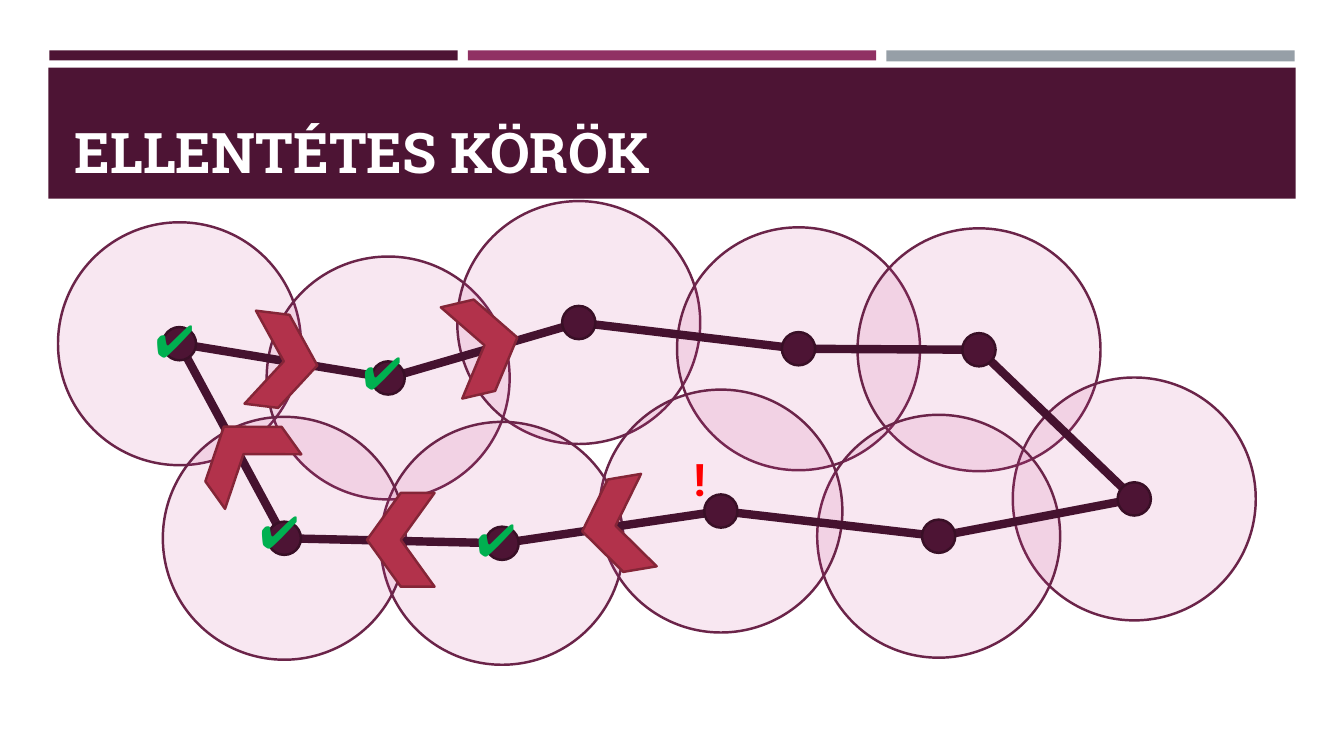
"""Build the slide on opposing circles: a loop of nodes with ranges, arrows and marks."""
from itertools import pairwise
from typing import NamedTuple

from lxml.etree import SubElement
from pptx import Presentation
from pptx.dml.color import RGBColor
from pptx.enum.shapes import MSO_CONNECTOR as Link, MSO_SHAPE as Preset
from pptx.enum.text import MSO_ANCHOR as Anchor, MSO_AUTO_SIZE as AutoSize, PP_ALIGN as Align
from pptx.oxml.ns import qn
from pptx.shapes.autoshape import Shape
from pptx.slide import Slide
from pptx.util import Inches, Pt

PLUM = RGBColor(0x4D, 0x14, 0x34)
MAGENTA = RGBColor(0x90, 0x31, 0x63)
GREY = RGBColor(0x96, 0x9F, 0xA7)
WHITE = RGBColor(0xFF, 0xFF, 0xFF)
RANGE_FILL = RGBColor(0xCA, 0x3E, 0x8E)
RANGE_EDGE = RGBColor(0x6B, 0x24, 0x49)
EDGE = RGBColor(0x45, 0x12, 0x2F)
NODE_EDGE = RGBColor(0x39, 0x0F, 0x26)
ARROW_FILL = RGBColor(0xB2, 0x32, 0x4B)
ARROW_EDGE = RGBColor(0x84, 0x25, 0x37)
GREEN = RGBColor(0x00, 0xB0, 0x50)
RED = RGBColor(0xFF, 0x00, 0x00)

RANGE_SIZE = 2.41
NODE_SIZE = 0.33


class Point(NamedTuple):
    x: float
    y: float


class Bar(NamedTuple):
    left: float
    top: float
    width: float
    height: float
    color: RGBColor


class Arrow(NamedTuple):
    left: float
    top: float
    angle: float


class Mark(NamedTuple):
    left: float
    top: float
    width: float
    text: str
    font: str
    color: RGBColor
    bold: bool


BARS = [
    Bar(0.49, 0.5, 4.05, 0.1, PLUM),
    Bar(4.64, 0.5, 4.05, 0.1, MAGENTA),
    Bar(8.79, 0.5, 4.05, 0.11, GREY),
    Bar(0.48, 0.67, 12.37, 1.3, PLUM),
]
NODES = [
    Point(1.78, 3.41), Point(3.85, 3.75), Point(5.74, 3.2), Point(7.92, 3.46), Point(9.71, 3.47),
    Point(11.25, 4.95), Point(9.31, 5.32), Point(7.15, 5.07), Point(4.98, 5.39), Point(2.82, 5.34),
]
ARROWS = [
    Arrow(5.77, 4.75, 170.4),
    Arrow(3.64, 4.89, 180),
    Arrow(2.08, 4.04, 234.4),
    Arrow(2.48, 3.12, 7),
    Arrow(4.47, 2.96, 346.8),
]
CHECKS = [Point(3.5, 3.37), Point(1.44, 3.05), Point(2.48, 4.95), Point(4.63, 5.03)]
MARKS = [Mark(x, y, 0.82, "✔️", "Calibri", GREEN, False) for x, y in CHECKS]
MARKS.append(Mark(6.78, 4.43, 0.32, "!", "Roboto", RED, True))


def add_preset(page: Slide, preset: Preset, left: float, top: float, width: float,
               height: float, fill: RGBColor, edge: RGBColor | None = None) -> Shape:
    shape = page.shapes.add_shape(preset, Inches(left), Inches(top), Inches(width), Inches(height))
    shape.shadow.inherit = False
    shape.fill.solid()
    shape.fill.fore_color.rgb = fill
    if edge is None:
        shape.line.fill.background()
    else:
        shape.line.color.rgb = edge
        shape.line.width = Pt(1.75)
    return shape


def add_disc(page: Slide, center: Point, size: float, fill: RGBColor, edge: RGBColor) -> Shape:
    return add_preset(page, Preset.OVAL, center.x - size / 2, center.y - size / 2,
                      size, size, fill, edge)


def add_range(page: Slide, center: Point) -> None:
    disc = add_disc(page, center, RANGE_SIZE, RANGE_FILL, RANGE_EDGE)
    color = disc.element.spPr.find(qn("a:solidFill"))[0]
    SubElement(color, qn("a:alpha"), val="12000")


def add_edge(page: Slide, start: Point, end: Point) -> None:
    line = page.shapes.add_connector(Link.STRAIGHT, Inches(start.x), Inches(start.y),
                                     Inches(end.x), Inches(end.y))
    line.line.color.rgb = EDGE
    line.line.width = Pt(6)
    SubElement(line.element.spPr, qn("a:effectLst"))


def add_arrow(page: Slide, arrow: Arrow) -> None:
    shape = add_preset(page, Preset.CHEVRON, arrow.left, arrow.top, 0.67, 0.93,
                       ARROW_FILL, ARROW_EDGE)
    shape.rotation = arrow.angle


def add_mark(page: Slide, mark: Mark) -> None:
    box = page.shapes.add_textbox(Inches(mark.left), Inches(mark.top),
                                  Inches(mark.width), Inches(0.64))
    frame = box.text_frame
    frame.word_wrap = False
    frame.auto_size = AutoSize.SHAPE_TO_FIT_TEXT
    para = frame.paragraphs[0]
    span = para.add_run()
    span.text = mark.text
    para.font.size = Pt(32)
    para.font.name = mark.font
    para.font.bold = mark.bold
    para.font.color.rgb = mark.color
    effects = SubElement(span.font._element, qn("a:effectLst"))
    shadow = SubElement(effects, qn("a:outerShdw"), blurRad="38100", dist="38100",
                        dir="2700000", algn="tl")
    color = SubElement(shadow, qn("a:srgbClr"), val="000000")
    SubElement(color, qn("a:alpha"), val="43000")


def format_title(page: Slide) -> None:
    title = page.shapes.title
    title.element.getparent().append(title.element)
    title.left, title.top = Inches(0.64), Inches(0.77)
    title.width, title.height = Inches(12.06), Inches(1.11)
    frame = title.text_frame
    frame.text = "ELLENTÉTES KÖRÖK"
    frame.vertical_anchor = Anchor.BOTTOM
    frame.auto_size = AutoSize.NONE
    para = frame.paragraphs[0]
    para.alignment = Align.LEFT
    para.font.size = Pt(40)
    para.font.name = "Roboto Slab"
    para.font.bold = True
    para.font.color.rgb = WHITE


def main() -> None:
    deck = Presentation()
    deck.slide_width, deck.slide_height = Inches(13.33), Inches(7.5)
    page = deck.slides.add_slide(deck.slide_layouts[5])
    for bar in BARS:
        add_preset(page, Preset.RECTANGLE, *bar)
    format_title(page)
    for node in NODES:
        add_range(page, node)
    for start, end in pairwise([*NODES, NODES[0]]):
        add_edge(page, start, end)
    for node in NODES:
        add_disc(page, node, NODE_SIZE, PLUM, NODE_EDGE)
    for arrow in ARROWS:
        add_arrow(page, arrow)
    for mark in MARKS:
        add_mark(page, mark)
    deck.save("out.pptx")


if __name__ == "__main__":
    main()
